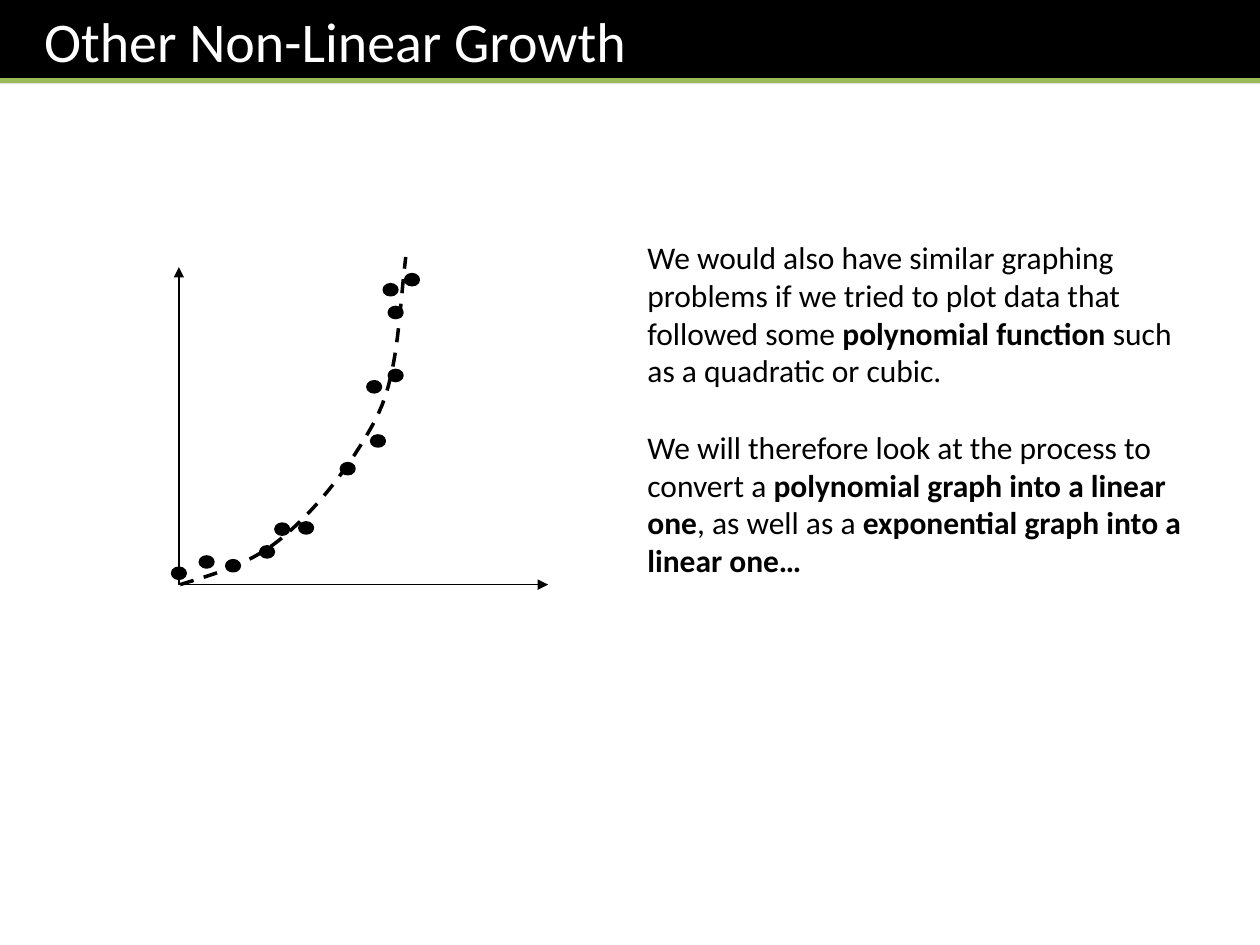
from dataclasses import dataclass
from typing import NamedTuple

from lxml.etree import SubElement
from pptx import Presentation
from pptx.dml.color import RGBColor
from pptx.enum.dml import MSO_LINE
from pptx.enum.shapes import MSO_CONNECTOR, MSO_SHAPE
from pptx.enum.text import MSO_ANCHOR, PP_ALIGN
from pptx.oxml.ns import qn
from pptx.util import Inches, Pt


@dataclass(frozen=True)
class Theme:
    font: str = "Calibri"
    ink: RGBColor = RGBColor(0x00, 0x00, 0x00)
    paper: RGBColor = RGBColor(0xFF, 0xFF, 0xFF)
    accent: RGBColor = RGBColor(0x9B, 0xBB, 0x59)
    title_size: int = 32
    body_size: int = 18
    paragraph_gap: int = 22
    axis_width: float = 0.75
    curve_width: float = 2
    rule_width: float = 3


class Point(NamedTuple):
    x: float
    y: float


class Run(NamedTuple):
    text: str
    bold: bool = False


THEME = Theme()
ORIGIN = Point(1.42, 4.64)
DOT_WIDTH, DOT_HEIGHT = 0.1, 0.08
STEPS_PER_SEGMENT = 16

# Top left corner of each data point
DATA_POINTS = [
    Point(1.37, 4.51), Point(1.59, 4.42), Point(1.8, 4.45), Point(2.07, 4.34),
    Point(2.38, 4.15), Point(2.71, 3.68), Point(2.92, 3.03), Point(3.22, 2.18),
    Point(3.05, 2.26), Point(2.95, 3.46), Point(2.19, 4.16), Point(3.09, 2.94),
    Point(3.09, 2.44),
]

# Cubic segments: start, then two controls and an end for each
CURVE_START = Point(1.43, 4.64)
CURVE_SEGMENTS = [
    (Point(1.72, 4.55), Point(2.01, 4.47), Point(2.26, 4.25)),
    (Point(2.52, 4.03), Point(2.78, 3.7), Point(2.97, 3.35)),
    (Point(3.16, 3), Point(3.16, 2.55), Point(3.22, 2.04)),
]

EXPLANATION = [
    [
        Run("We would also have similar graphing problems if we tried to plot "
            "data that followed some "),
        Run("polynomial function ", True),
        Run("such as a quadratic or cubic."),
    ],
    [
        Run("We will therefore look at the process to convert a "),
        Run("polynomial graph into a linear one", True),
        Run(", as well as a "),
        Run("exponential graph into a linear one…", True),
    ],
]


def write_text(frame, paragraphs: list[list[Run]], *, size: float, color: RGBColor,
               gap: float = 0, left_inset: float = 0.1) -> None:
    frame.word_wrap = True
    frame.vertical_anchor = MSO_ANCHOR.TOP
    frame.margin_left = Inches(left_inset)
    for index, runs in enumerate(paragraphs):
        paragraph = frame.add_paragraph() if index else frame.paragraphs[0]
        paragraph.alignment = PP_ALIGN.LEFT
        if index:
            paragraph.space_before = Pt(gap)
        for text, bold in runs:
            run = paragraph.add_run()
            run.text = text
            run.font.name = THEME.font
            run.font.size = Pt(size)
            run.font.bold = bold
            run.font.color.rgb = color


def draw_line(shapes, start: Point, end: Point, *, color: RGBColor,
              width: float, arrow: bool = False) -> None:
    line = shapes.add_connector(
        MSO_CONNECTOR.STRAIGHT, *(Inches(value) for value in (*start, *end)))
    line.line.color.rgb = color
    line.line.width = Pt(width)
    if arrow:
        SubElement(line.line._get_or_add_ln(), qn("a:tailEnd"), type="triangle")
    SubElement(line._element.spPr, qn("a:effectLst"))


def draw_dot(shapes, corner: Point) -> None:
    dot = shapes.add_shape(MSO_SHAPE.OVAL, Inches(corner.x), Inches(corner.y),
                           Inches(DOT_WIDTH), Inches(DOT_HEIGHT))
    dot.shadow.inherit = False
    dot.fill.solid()
    dot.fill.fore_color.rgb = THEME.ink
    dot.line.color.rgb = THEME.ink
    dot.line.width = Pt(THEME.curve_width)


def cubic_at(points: tuple[Point, ...], t: float) -> Point:
    weights = ((1 - t) ** 3, 3 * t * (1 - t) ** 2, 3 * t ** 2 * (1 - t), t ** 3)
    return Point(sum(w * p.x for w, p in zip(weights, points)),
                 sum(w * p.y for w, p in zip(weights, points)))


def draw_curve(shapes) -> None:
    builder = shapes.build_freeform(Inches(CURVE_START.x), Inches(CURVE_START.y))
    start = CURVE_START
    for segment in CURVE_SEGMENTS:
        samples = [cubic_at((start, *segment), step / STEPS_PER_SEGMENT)
                   for step in range(1, STEPS_PER_SEGMENT + 1)]
        builder.add_line_segments(
            [(Inches(p.x), Inches(p.y)) for p in samples], close=False)
        start = segment[-1]
    curve = builder.convert_to_shape()
    curve.shadow.inherit = False
    curve.fill.background()
    curve.line.color.rgb = THEME.ink
    curve.line.width = Pt(THEME.curve_width)
    curve.line.dash_style = MSO_LINE.DASH


def draw_header(shapes) -> None:
    header = shapes.add_group_shape().shapes
    banner = header.add_shape(MSO_SHAPE.RECTANGLE, 0, 0, Inches(10), Inches(0.66))
    banner.shadow.inherit = False
    banner.fill.solid()
    banner.fill.fore_color.rgb = THEME.ink
    banner.line.fill.background()
    write_text(banner.text_frame, [[Run("Other Non-Linear Growth")]],
               size=THEME.title_size, color=THEME.paper, left_inset=0.35)
    draw_line(header, Point(0, 0.64), Point(10, 0.64),
              color=THEME.accent, width=THEME.rule_width)


def main() -> None:
    presentation = Presentation()
    presentation.slide_width = Inches(10)
    presentation.slide_height = Inches(7.5)
    shapes = presentation.slides.add_slide(presentation.slide_layouts[6]).shapes

    draw_header(shapes)

    # Graph: axes, data points and dashed growth curve
    for axis_end in (Point(ORIGIN.x, 2.12), Point(4.35, ORIGIN.y)):
        draw_line(shapes, ORIGIN, axis_end, color=THEME.ink,
                  width=THEME.axis_width, arrow=True)
    for corner in DATA_POINTS:
        draw_dot(shapes, corner)
    draw_curve(shapes)

    # Explanation beside the graph
    explanation = shapes.add_textbox(
        Inches(5.04), Inches(1.84), Inches(4.57), Inches(2.83))
    write_text(explanation.text_frame, EXPLANATION, size=THEME.body_size,
               color=THEME.ink, gap=THEME.paragraph_gap)

    presentation.save("out.pptx")


if __name__ == "__main__":
    main()
